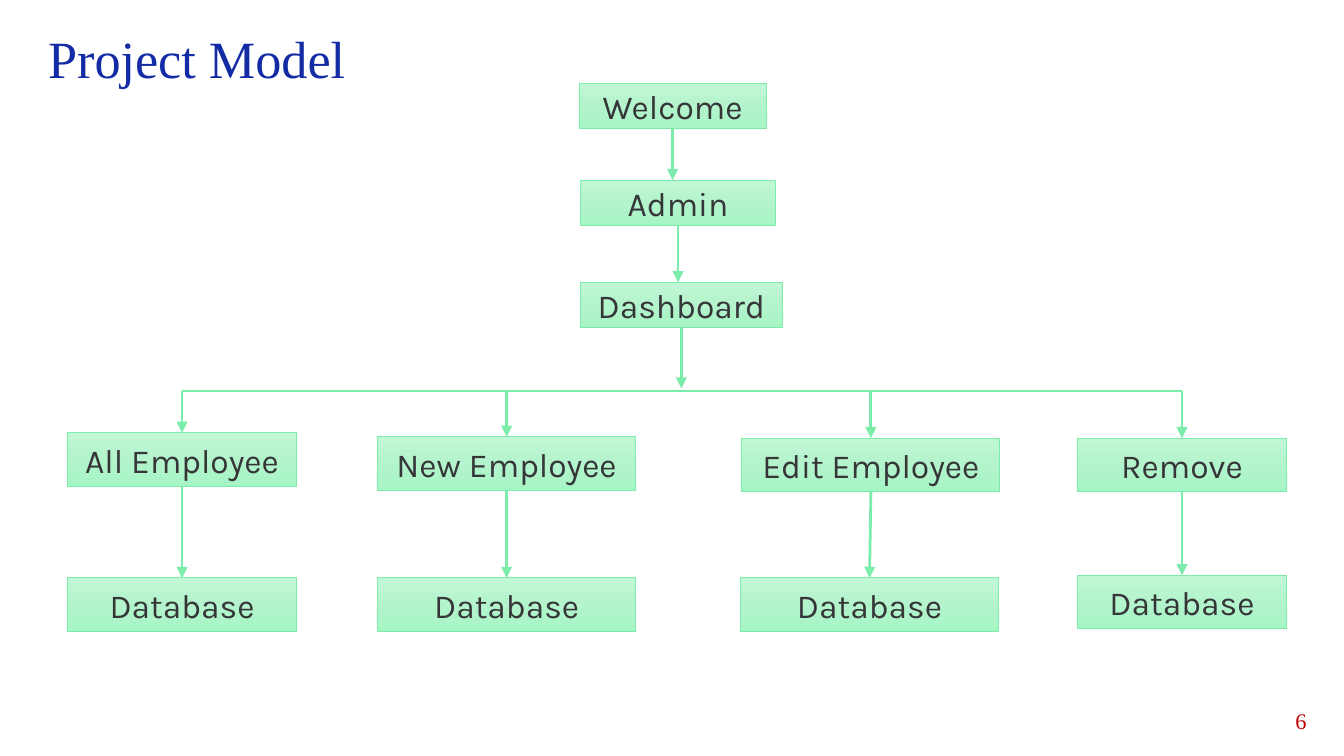
from copy import deepcopy

from lxml import etree
from pptx import Presentation
from pptx.dml.color import RGBColor
from pptx.enum import shapes, text
from pptx.oxml.ns import qn
from pptx.util import Inches, Pt

THEME = {
    "gradient": [(0, "C2F7D6"), (0.5, "B3F4CC"), (1, "A6F5C5")],
    "line": "7BECAA",
    "border_width": 0.5,
    "arrow_width": 1.5,
    "node": {"name": "Karla", "size": 18, "color": "363639"},
    "title": {"name": "Times New Roman", "size": 28, "color": "132CA6"},
    "number": {"name": "Times New Roman", "size": 12, "color": "C00000"},
}

TITLE = ("Project Model", (0.26, 0.15, 3.74, 0.57))
PAGE_NUMBER = ("6", (9.31, 5.21, 0.51, 0.3))

# label, left, top, width
CHAIN = [
    ("Welcome", 4.31, 0.62, 1.39),
    ("Admin", 4.32, 1.34, 1.45),
    ("Dashboard", 4.32, 2.1, 1.5),
]
CHAIN_HEIGHT = 0.34

# label, left, top, width, left and top of its database
BRANCHES = [
    ("All Employee", 0.5, 3.22, 1.71, 0.5, 4.3),
    ("New Employee", 2.81, 3.25, 1.92, 2.81, 4.3),
    ("Edit Employee", 5.52, 3.26, 1.92, 5.51, 4.3),
    ("Remove", 8.02, 3.26, 1.55, 8.02, 4.28),
]
BRANCH_HEIGHT = 0.4
BUS_Y = 2.91
TOP, BOTTOM = 0, 2


def write(shape, words, style, align, anchor):
    frame = shape.text_frame
    frame.word_wrap = True
    frame.vertical_anchor = anchor
    paragraph = frame.paragraphs[0]
    paragraph.alignment = align
    run = paragraph.add_run()
    run.text = words
    font = {"name": style["name"], "size": Pt(style["size"])}
    for attribute, value in font.items():
        setattr(run.font, attribute, value)
    run.font.color.rgb = RGBColor.from_string(style["color"])


def add_label(slide, words, box, style, align, anchor):
    shape = slide.shapes.add_textbox(*map(Inches, box))
    write(shape, words, style, align, anchor)


def add_node(slide, words, left, top, width, height):
    node = slide.shapes.add_shape(
        shapes.MSO_SHAPE.RECTANGLE, *map(Inches, (left, top, width, height)))
    node.shadow.inherit = False
    node.fill.gradient()
    node.fill.gradient_angle = 270
    stop_list = node._element.spPr.find(".//" + qn("a:gsLst"))
    stop_list.append(deepcopy(stop_list[-1]))
    for stop, (position, color) in zip(node.fill.gradient_stops, THEME["gradient"]):
        stop.position = position
        stop.color.rgb = RGBColor.from_string(color)
    node.line.color.rgb = RGBColor.from_string(THEME["line"])
    node.line.width = Pt(THEME["border_width"])
    write(node, words, THEME["node"], text.PP_ALIGN.CENTER, text.MSO_ANCHOR.MIDDLE)
    return node


def add_line(slide, start, end, arrow=True):
    """Draw a line between two ends, each a point in EMU or a (node, side) pair."""
    def is_joined(place):
        return not isinstance(place[0], int)

    points = [(0, 0) if is_joined(place) else place for place in (start, end)]
    line = slide.shapes.add_connector(
        shapes.MSO_CONNECTOR.STRAIGHT, *points[0], *points[1])
    if is_joined(start):
        line.begin_connect(*start)
    if is_joined(end):
        line.end_connect(*end)
    line.line.color.rgb = RGBColor.from_string(THEME["line"])
    line.line.width = Pt(THEME["arrow_width"])
    properties = line._element.spPr
    if arrow:
        outline = properties.find(qn("a:ln"))
        etree.SubElement(outline, qn("a:tailEnd")).set("type", "triangle")
    etree.SubElement(properties, qn("a:effectLst"))


def middle(node):
    return int(node.left + node.width / 2)


def main():
    presentation = Presentation()
    presentation.slide_width = Inches(10)
    presentation.slide_height = presentation.slide_width * 9 // 16
    slide = presentation.slides.add_slide(presentation.slide_layouts[6])

    add_label(slide, *PAGE_NUMBER, THEME["number"],
              text.PP_ALIGN.RIGHT, text.MSO_ANCHOR.MIDDLE)

    # Each arrow drops straight from its box to the next level.
    chain = [add_node(slide, *item, CHAIN_HEIGHT) for item in CHAIN]
    levels = [node.top for node in chain[1:]] + [Inches(BUS_Y - 0.02)]
    for node, level in zip(chain, levels):
        add_line(slide, (node, BOTTOM), (middle(node), level))

    bus_y = Inches(BUS_Y)
    branches = []
    for label, left, top, width, database_left, database_top in BRANCHES:
        branch = add_node(slide, label, left, top, width, BRANCH_HEIGHT)
        database = add_node(slide, "Database", database_left, database_top,
                            width, BRANCH_HEIGHT)
        add_line(slide, (middle(branch), bus_y), (branch, TOP))
        add_line(slide, (branch, BOTTOM), (database, TOP))
        branches.append(branch)
    add_line(slide, (middle(branches[0]), bus_y), (middle(branches[-1]), bus_y),
             arrow=False)

    add_label(slide, *TITLE, THEME["title"],
              text.PP_ALIGN.LEFT, text.MSO_ANCHOR.TOP)

    presentation.save("out.pptx")


if __name__ == "__main__":
    main()
